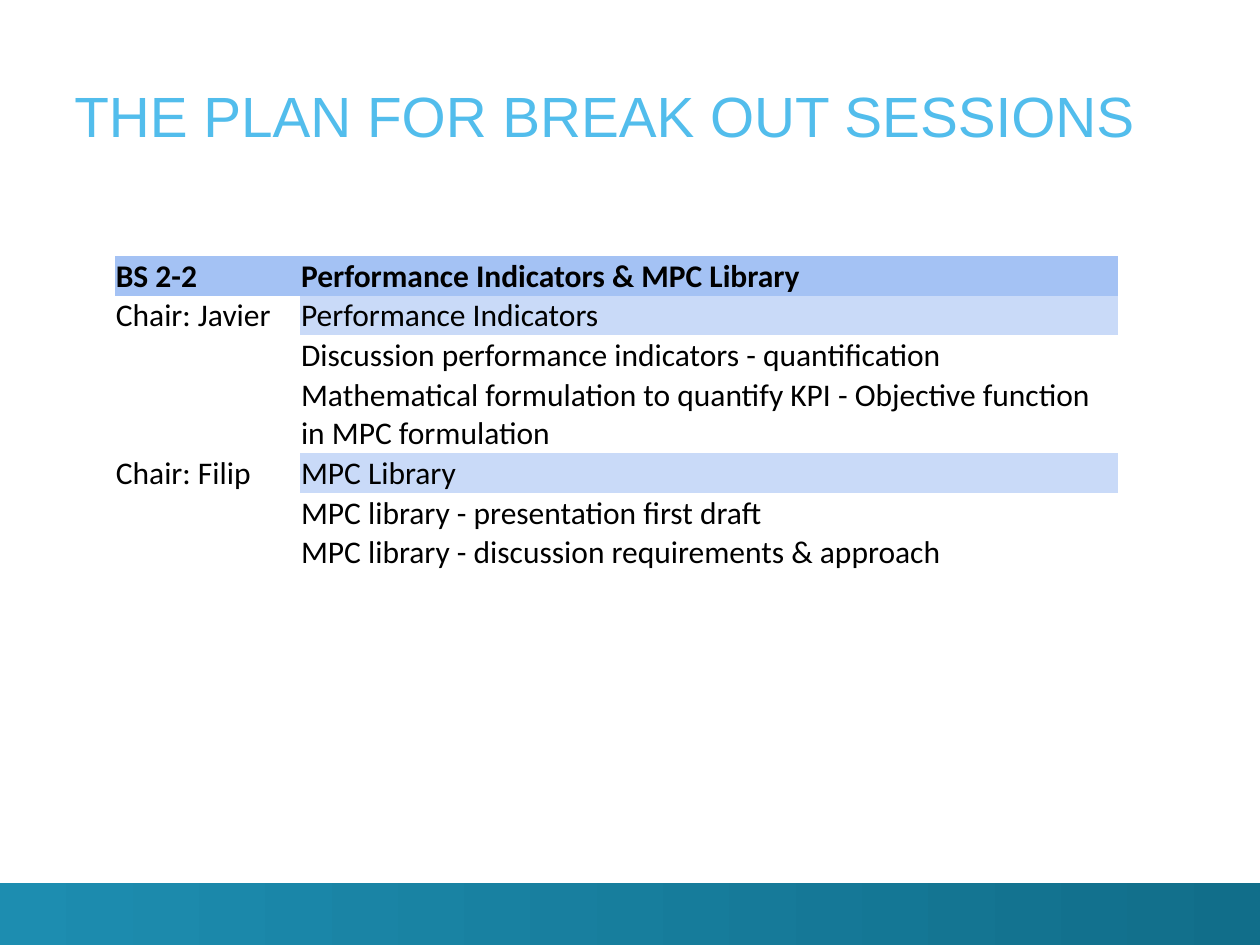
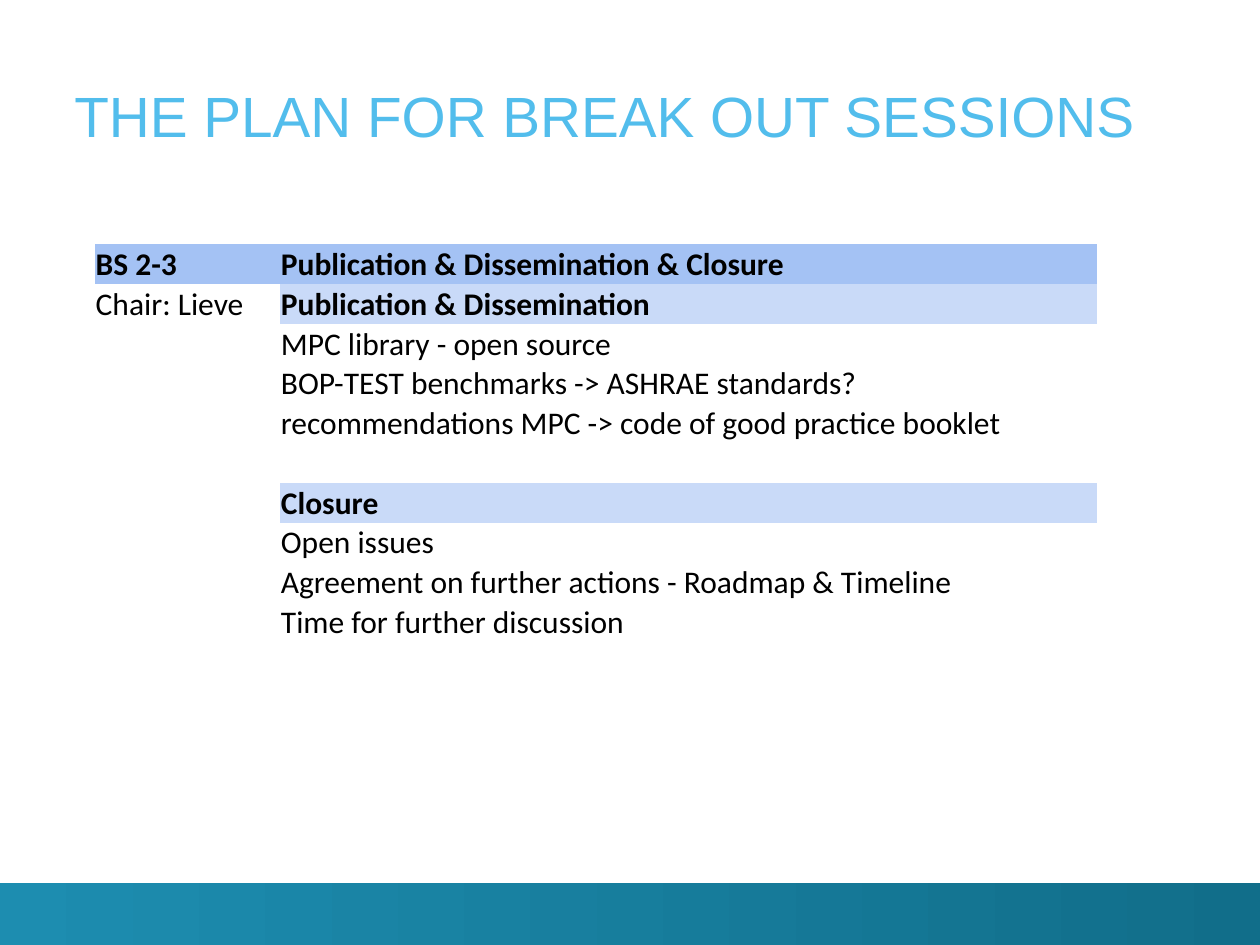
from pptx import Presentation
from pptx.dml.color import RGBColor
from pptx.enum.shapes import MSO_SHAPE as Shape
from pptx.enum.text import MSO_ANCHOR as Anchor, MSO_AUTO_SIZE as AutoSize, PP_ALIGN as Align
from pptx.oxml.ns import qn
from pptx.util import Inches, Pt

COLORS = {
    "title": "52BDEC",
    "text": "000000",
    "header": "A4C2F4",
    "section": "C9DAF8",
    "band_left": "1D8DB0",
    "band_right": "116E8A",
}
TITLE = "THE PLAN FOR BREAK OUT SESSIONS"
TITLE_BOX = (0.59, 0.2, 9.11, 0.98)
BAND_BOX = (0, 7.01, 10, 0.53)
COLUMN_WIDTHS = (1.47, 6.49)
LINE_HEIGHT = 0.31
PLAIN_STYLE = "{2D5ABB26-0587-4C30-8999-92F81FD0307C}"  # no fills, no grid

TITLE_FRAME = {"margin_left": 0, "margin_top": 0, "margin_right": 0, "margin_bottom": 0,
               "vertical_anchor": Anchor.BOTTOM, "word_wrap": True,
               "auto_size": AutoSize.NONE}
TITLE_FONT = {"name": "Arial", "size": Pt(32.4), "bold": False}
CELL_FORMAT = {"margin_left": Inches(0.01), "margin_top": Inches(0.01),
               "margin_right": Inches(0.01), "margin_bottom": 0,
               "vertical_anchor": Anchor.BOTTOM}
CELL_FONT = {"name": "Calibri", "size": Pt(18)}

# Each row: chair, topic, kind of row, lines of text
SESSION_2_2 = [
    ("BS 2-2", "Performance Indicators & MPC Library", "header", 1),
    ("Chair: Javier", "Performance Indicators", "section", 1),
    ("", "Discussion performance indicators - quantification", "item", 1),
    ("", "Mathematical formulation to quantify KPI - Objective function in MPC formulation",
     "item", 2),
    ("Chair: Filip", "MPC Library", "section", 1),
    ("", "MPC library - presentation first draft", "item", 1),
    ("", "MPC library - discussion requirements & approach", "item", 1),
]
SESSION_2_3 = [
    ("BS 2-3", "Publication & Dissemination & Closure", "header", 1),
    ("Chair: Lieve", "Publication & Dissemination", "section", 1),
    ("", "MPC library - open source", "item", 1),
    ("", "BOP-TEST benchmarks -> ASHRAE standards?", "item", 1),
    ("", "recommendations MPC -> code of good practice booklet", "item", 1),
    ("", "", "item", 1),
    ("", "Closure", "section", 1),
    ("", "Open issues", "item", 1),
    ("", "Agreement on further actions - Roadmap & Timeline", "item", 1),
    ("", "Time for further discussion", "item", 1),
]


def apply(target, values):
    for name, value in values.items():
        setattr(target, name, value)


def color(name):
    return RGBColor.from_string(COLORS[name])


def add_layout_band(slide, box):
    """Draw the bottom band and move it to the layout, behind everything."""
    band = slide.shapes.add_shape(Shape.RECTANGLE, *map(Inches, box))
    band.shadow.inherit = False
    band.line.fill.background()
    band.fill.gradient()
    band.fill.gradient_angle = 0
    for stop, name in zip(band.fill.gradient_stops, ("band_left", "band_right")):
        stop.color.rgb = color(name)
    slide.slide_layout.element.cSld.spTree.insert(2, band.element)


def place_layout_title(layout, box):
    title = layout.placeholders[0]
    apply(title, dict(zip(("left", "top", "width", "height"), map(Inches, box))))
    apply(title.text_frame, TITLE_FRAME)


def fill_title(slide, text):
    slide.shapes.title.text_frame.text = text
    paragraph = slide.shapes.title.text_frame.paragraphs[0]
    paragraph.alignment = Align.LEFT
    apply(paragraph.runs[0].font, TITLE_FONT)
    paragraph.runs[0].font.color.rgb = color("title")


def format_cell(cell, text, fill_name, bold):
    apply(cell, CELL_FORMAT)
    if fill_name:
        cell.fill.solid()
        cell.fill.fore_color.rgb = color(fill_name)
    else:
        cell.fill.background()
    if text:
        cell.text = text
    font = cell.text_frame.paragraphs[0].font
    for target in [font] + [run.font for run in cell.text_frame.paragraphs[0].runs]:
        apply(target, {**CELL_FONT, "bold": bold})
        target.color.rgb = color("text")


def add_agenda(slide, left, top, sessions, bold_sections):
    heights = [LINE_HEIGHT * lines for *_, lines in sessions]
    frame = slide.shapes.add_table(
        len(sessions), len(COLUMN_WIDTHS), Inches(left), Inches(top),
        Inches(sum(COLUMN_WIDTHS)), Inches(sum(heights)))
    agenda = frame.table
    apply(agenda, {"first_row": False, "horz_banding": False})
    for style in frame.element.iter(qn("a:tableStyleId")):
        style.text = PLAIN_STYLE
    for column, width in zip(agenda.columns, COLUMN_WIDTHS):
        column.width = Inches(width)

    for index, (chair, topic, kind, _) in enumerate(sessions):
        agenda.rows[index].height = Inches(heights[index])
        header = kind == "header"
        topic_bold = header or (kind == "section" and bold_sections)
        format_cell(agenda.cell(index, 0), chair, "header" if header else None, header)
        format_cell(agenda.cell(index, 1), topic, kind if kind in COLORS else None, topic_bold)


def main():
    deck = Presentation()
    deck.slide_width, deck.slide_height = Inches(10), Inches(7.5)
    layout = deck.slide_layouts[5]
    place_layout_title(layout, TITLE_BOX)

    pages = [
        (0.91, 2.03, SESSION_2_2, False),
        (0.75, 1.94, SESSION_2_3, True),
    ]
    for page in pages:
        slide = deck.slides.add_slide(layout)
        fill_title(slide, TITLE)
        add_agenda(slide, *page)
    add_layout_band(deck.slides[0], BAND_BOX)
    deck.save("out.pptx")


if __name__ == "__main__":
    main()
